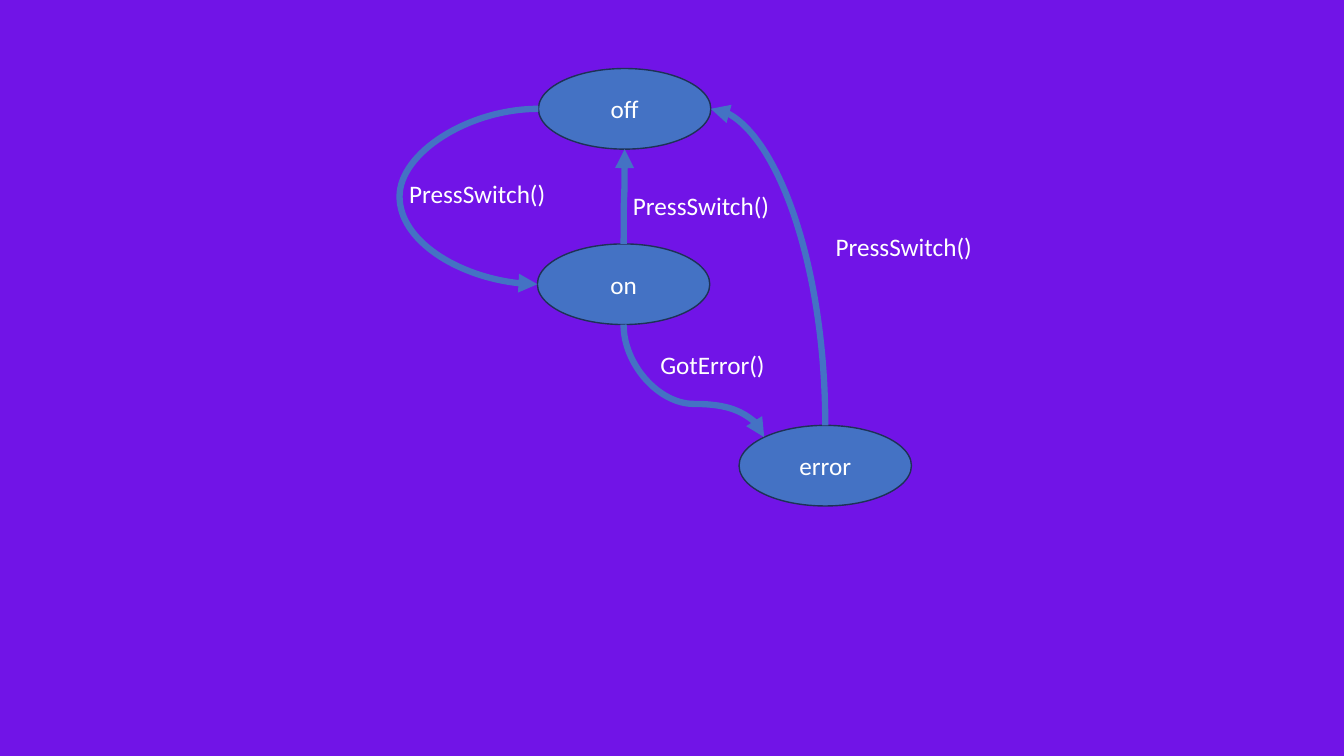
from math import cos, radians, sin

from lxml import etree
from pptx import Presentation
from pptx.dml.color import RGBColor
from pptx.enum.shapes import MSO_CONNECTOR, MSO_SHAPE
from pptx.enum.text import MSO_ANCHOR, MSO_AUTO_SIZE, PP_ALIGN
from pptx.oxml.ns import qn
from pptx.util import Inches, Pt

OVAL = MSO_SHAPE.OVAL
CURVE = MSO_CONNECTOR.CURVE
MIDDLE, CENTER, LEFT = MSO_ANCHOR.MIDDLE, PP_ALIGN.CENTER, PP_ALIGN.LEFT
FIT_SHAPE = MSO_AUTO_SIZE.SHAPE_TO_FIT_TEXT

PURPLE = RGBColor(0x71, 0x14, 0xE7)
BLUE = RGBColor(0x44, 0x72, 0xC4)
NAVY = RGBColor(0x1E, 0x32, 0x56)
WHITE = RGBColor(0xFF, 0xFF, 0xFF)
FONT = "Calibri"

# Content: states (left, top)
STATE_W, STATE_H = 1.71, 0.8
STATES = {"off": (5.34, 0.68), "on": (5.33, 2.42), "error": (7.33, 4.22)}

# Oval connection sites, counted anticlockwise from the top in 45 degree steps
TOP, TOP_LEFT, SIDE_LEFT, BOTTOM, SIDE_RIGHT = 0, 1, 2, 4, 6

# Transitions: from state, site, to state, site, rotation, flips, bends, bend ratio
TRANSITIONS = [
    ("off", SIDE_LEFT, "on", SIDE_LEFT, 180, ("flipV",), 3, 140),
    ("on", TOP, "off", BOTTOM, 90, ("flipH", "flipV"), 3, 0.5),
    ("on", BOTTOM, "error", TOP_LEFT, 270, ("flipH",), 3, 0.705),
    ("error", TOP, "off", SIDE_RIGHT, 270, ("flipV",), 2, None),
]

# Labels: text, left, top, width
LABEL_H = 0.4
LABELS = [
    ("PressSwitch()", 8.19, 2.25, 1.57),
    ("PressSwitch()", 3.96, 1.72, 1.57),
    ("PressSwitch()", 6.18, 1.84, 1.57),
    ("GotError()", 6.45, 3.42, 1.25),
]


def write(tf, text, size=18, color=WHITE, align=LEFT):
    p = tf.paragraphs[0]
    p.alignment = align
    r = p.add_run()
    r.text = text
    r.font.name, r.font.size = FONT, Pt(size)
    r.font.color.rgb = color


def site_point(state, site):
    left, top = STATES[state]
    angle = radians(90 + 45 * site)
    return (left + STATE_W / 2 * (1 + cos(angle)),
            top + STATE_H / 2 * (1 - sin(angle)))


def add_state(slide, name):
    left, top = STATES[name]
    sp = slide.shapes.add_shape(OVAL, Inches(left), Inches(top),
                                Inches(STATE_W), Inches(STATE_H))
    sp.shadow.inherit = False
    sp.fill.solid()
    sp.fill.fore_color.rgb = BLUE
    sp.line.color.rgb = NAVY
    sp.line.width = Pt(1)
    sp.text_frame.vertical_anchor = MIDDLE
    write(sp.text_frame, name, align=CENTER)
    return sp


def add_transition(slide, ovals, start, start_site, end, end_site,
                   rotation, flips, bends, ratio):
    x1, y1 = site_point(start, start_site)
    x2, y2 = site_point(end, end_site)
    w, h = abs(x2 - x1), abs(y2 - y1)
    if rotation % 180:
        w, h = h, w
    left, top = (x1 + x2 - w) / 2, (y1 + y2 - h) / 2
    cx = slide.shapes.add_connector(CURVE, Inches(left), Inches(top),
                                    Inches(left + w), Inches(top + h))
    cx.line.color.rgb = BLUE
    cx.line.width = Pt(4.5)

    # Orientation and bend
    sp_pr = cx._element.spPr
    xfrm = sp_pr.find(qn("a:xfrm"))
    xfrm.set("rot", str(rotation * 60000))
    for flip in flips:
        xfrm.set(flip, "1")
    geom = sp_pr.find(qn("a:prstGeom"))
    geom.set("prst", f"curvedConnector{bends}")
    if ratio is not None:
        etree.SubElement(geom.find(qn("a:avLst")), qn("a:gd"),
                         name="adj1", fmla=f"val {round(ratio * 100000)}")

    # Arrowhead, no shadow
    etree.SubElement(sp_pr.find(qn("a:ln")), qn("a:tailEnd"), type="triangle")
    etree.SubElement(sp_pr, qn("a:effectLst"))

    # Join to the ovals' eight-site outline
    joints = cx._element.find(qn("p:nvCxnSpPr")).find(qn("p:cNvCxnSpPr"))
    for tag, state, site in (("a:stCxn", start, start_site),
                             ("a:endCxn", end, end_site)):
        etree.SubElement(joints, qn(tag), id=str(ovals[state].shape_id),
                         idx=str(site))


def add_label(slide, text, left, top, width):
    box = slide.shapes.add_textbox(Inches(left), Inches(top),
                                   Inches(width), Inches(LABEL_H))
    tf = box.text_frame
    tf.word_wrap = False
    tf.auto_size = FIT_SHAPE
    write(tf, text)


def main():
    prs = Presentation()
    prs.slide_width, prs.slide_height = Inches(13.33), Inches(7.5)
    slide = prs.slides.add_slide(prs.slide_layouts[6])
    slide.background.fill.solid()
    slide.background.fill.fore_color.rgb = PURPLE

    ovals = {name: add_state(slide, name) for name in STATES}
    for transition in TRANSITIONS:
        add_transition(slide, ovals, *transition)
    for label in LABELS:
        add_label(slide, *label)
    prs.save("out.pptx")


if __name__ == "__main__":
    main()
